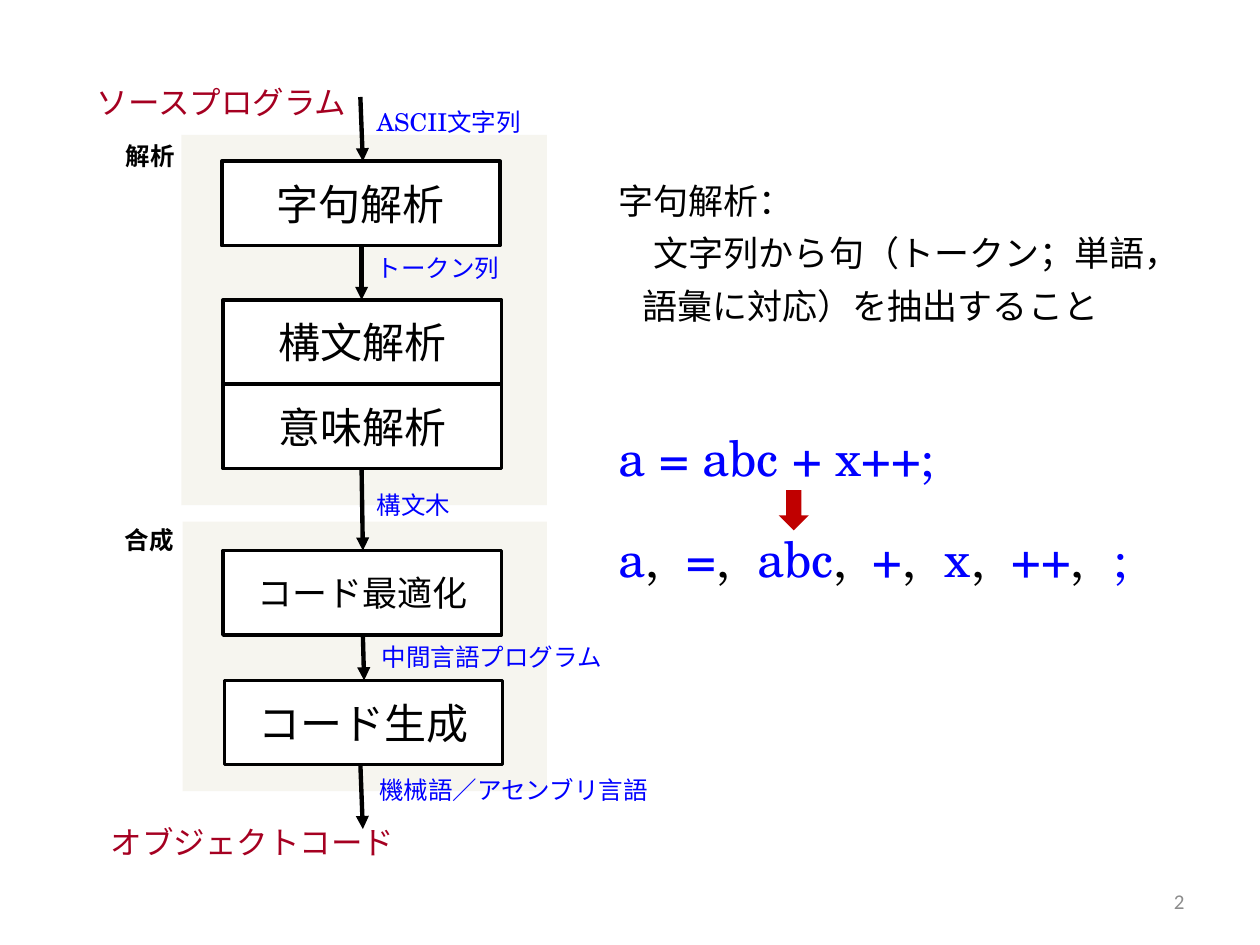
from dataclasses import dataclass

from lxml import etree
from pptx import Presentation
from pptx import util as u
from pptx.dml import color
from pptx.enum import shapes, text
from pptx.oxml import ns


@dataclass(frozen=True)
class Theme:
    sans: str = "Noto Sans CJK JP"
    serif: str = "TeX Gyre Schola"
    number_font: str = "Calibri"
    black: str = "000000"
    white: str = "FFFFFF"
    panel: str = "EEECE1"
    blue: str = "0000FF"
    crimson: str = "A50021"
    red: str = "C00000"
    grey: str = "8C8C8C"
    code: int = 28
    stage: int = 24
    body: int = 20
    endpoint: int = 18
    label: int = 14
    number: int = 12


THEME = Theme()


def child(parent, tag, **attrs):
    return etree.SubElement(parent, ns.qn(tag), attrs)


def add_text(p, content, size, font=THEME.serif, fill=THEME.black, bold=False):
    r = p.add_run()
    r.text = content
    r.font.size = u.Pt(size)
    r.font.name = font
    r.font.bold = bold
    r.font.color.rgb = color.RGBColor.from_string(fill)
    child(r.font._element, "a:ea", typeface=font)
    return r


class SlideBuilder:
    def __init__(self, slide, theme):
        self.slide = slide
        self.theme = theme

    def shape(self, kind, at, fill, line=None, opacity=None):
        sp = self.slide.shapes.add_shape(kind, *map(u.Inches, at))
        sp.shadow.inherit = False
        sp.fill.solid()
        sp.fill.fore_color.rgb = color.RGBColor.from_string(fill)
        if opacity:
            clr = sp.fill._xPr.find(".//" + ns.qn("a:srgbClr"))
            child(clr, "a:alpha", val=str(opacity * 1000))
        if line:
            sp.line.color.rgb = color.RGBColor.from_string(line)
            sp.line.width = u.Pt(2)
        else:
            sp.line.fill.background()
        return sp

    def panel(self, *at):
        self.shape(shapes.MSO_SHAPE.RECTANGLE, at, self.theme.panel, opacity=50)

    def stage(self, name, left, top, size):
        sp = self.shape(shapes.MSO_SHAPE.RECTANGLE, (left, top, 2.21, 0.67),
                        self.theme.white, line=self.theme.black)
        tf = sp.text_frame
        tf.margin_top = tf.margin_bottom = 0
        tf.vertical_anchor = text.MSO_ANCHOR.MIDDLE
        p = tf.paragraphs[0]
        p.alignment = text.PP_ALIGN.CENTER
        p.space_before = u.Pt(6)
        add_text(p, name, size, font=self.theme.sans)

    def arrow(self, x1, y1, x2, y2):
        cxn = self.slide.shapes.add_connector(
            shapes.MSO_CONNECTOR.STRAIGHT, *map(u.Inches, (x1, y1, x2, y2)))
        cxn.line.color.rgb = color.RGBColor.from_string(self.theme.black)
        cxn.line.width = u.Pt(2.5)
        child(cxn.line._get_or_add_ln(), "a:tailEnd", type="triangle")
        child(cxn._element.spPr, "a:effectLst")

    def text_frame(self, *at):
        tf = self.slide.shapes.add_textbox(*map(u.Inches, at)).text_frame
        tf.word_wrap = True
        return tf

    def label(self, content, at, **style):
        add_text(self.text_frame(*at).paragraphs[0], content, **style)

    def explanation(self, *at):
        t = self.theme
        tf = self.text_frame(*at)
        heading = tf.paragraphs[0]
        add_text(heading, "字句解析：", t.body)

        detail = tf.add_paragraph()
        add_text(detail, "文字列から句（トークン；単語，語彙に対応）を抽出すること", t.body)
        ppr = detail._p.get_or_add_pPr()
        ppr.set("marL", str(u.Inches(0.19)))
        ppr.set("indent", str(u.Inches(0.09)))
        for p in (heading, detail):
            p.line_spacing = 1.25

        code = tf.add_paragraph()
        code.space_before = u.Pt(58)
        add_text(code, "a = abc + x++;", t.code, fill=t.blue)

        tokens = tf.add_paragraph()
        tokens.space_before = u.Pt(24)
        tabs = child(tokens._p.get_or_add_pPr(), "a:tabLst")
        for stop in (0.54, 1.1, 2.02, 2.59, 3.12, 3.93):
            child(tabs, "a:tab", pos=str(u.Inches(stop)), algn="l")
        for i, token in enumerate(("a", "=", "abc", "+", "x", "++", ";")):
            if i:
                add_text(tokens, ",\t", t.code)
            add_text(tokens, token, t.code, fill=t.blue)

    def down_arrow(self, *at):
        self.shape(shapes.MSO_SHAPE.DOWN_ARROW, at, self.theme.red)

    def page_number(self, number, *at):
        tf = self.text_frame(*at)
        tf.vertical_anchor = text.MSO_ANCHOR.MIDDLE
        p = tf.paragraphs[0]
        p.alignment = text.PP_ALIGN.RIGHT
        add_text(p, number, self.theme.number, font=self.theme.number_font,
                 fill=self.theme.grey)


def main():
    prs = Presentation()
    prs.slide_width, prs.slide_height = u.Inches(10), u.Inches(7.5)
    t = THEME
    b = SlideBuilder(prs.slides.add_slide(prs.slide_layouts[6]), t)

    b.panel(1.45, 4.14, 2.89, 2.14)
    b.panel(1.44, 1.07, 2.9, 2.94)

    for name, left, top, size in (
        ("字句解析", 1.76, 1.28, t.stage),
        ("構文解析", 1.77, 2.38, t.stage),
        ("意味解析", 1.77, 3.05, t.stage),
        ("コード最適化", 1.77, 4.37, t.body),
        ("コード生成", 1.78, 5.4, t.stage),
    ):
        b.stage(name, left, top, size)

    for ends in (
        (2.86, 0.77, 2.88, 1.28),
        (2.87, 1.95, 2.87, 2.38),
        (2.87, 3.72, 2.88, 4.37),
        (2.88, 5.04, 2.89, 5.4),
        (2.86, 6.06, 2.88, 6.58),
    ):
        b.arrow(*ends)

    for content, left, top, width in (
        ("ソースプログラム", 0.67, 0.61, 2.44),
        ("オブジェクトコード", 0.78, 6.48, 2.74),
    ):
        b.label(content, (left, top, width, 0.4), size=t.endpoint,
                font=t.sans, fill=t.crimson)

    for content, left, top, width in (
        ("ASCII文字列", 2.89, 0.8, 1.6),
        ("トークン列", 2.89, 1.96, 1.6),
        ("構文木", 2.89, 3.84, 1.58),
        ("中間言語プログラム", 2.93, 5.05, 2.31),
        ("機械語／アセンブリ言語", 2.91, 6.1, 2.51),
    ):
        b.label(content, (left, top, width, 0.34), size=t.label, fill=t.blue)

    for content, left, top in (("解析", 0.9, 1.07), ("合成", 0.89, 4.12)):
        b.label(content, (left, top, 0.65, 0.34), size=t.label,
                font=t.sans, bold=True)

    b.explanation(4.81, 1.29, 4.52, 3.99)
    b.down_arrow(6.18, 3.89, 0.24, 0.32)
    b.page_number("2", 7.17, 6.95, 2.33, 0.4)
    prs.save("out.pptx")


if __name__ == "__main__":
    main()
